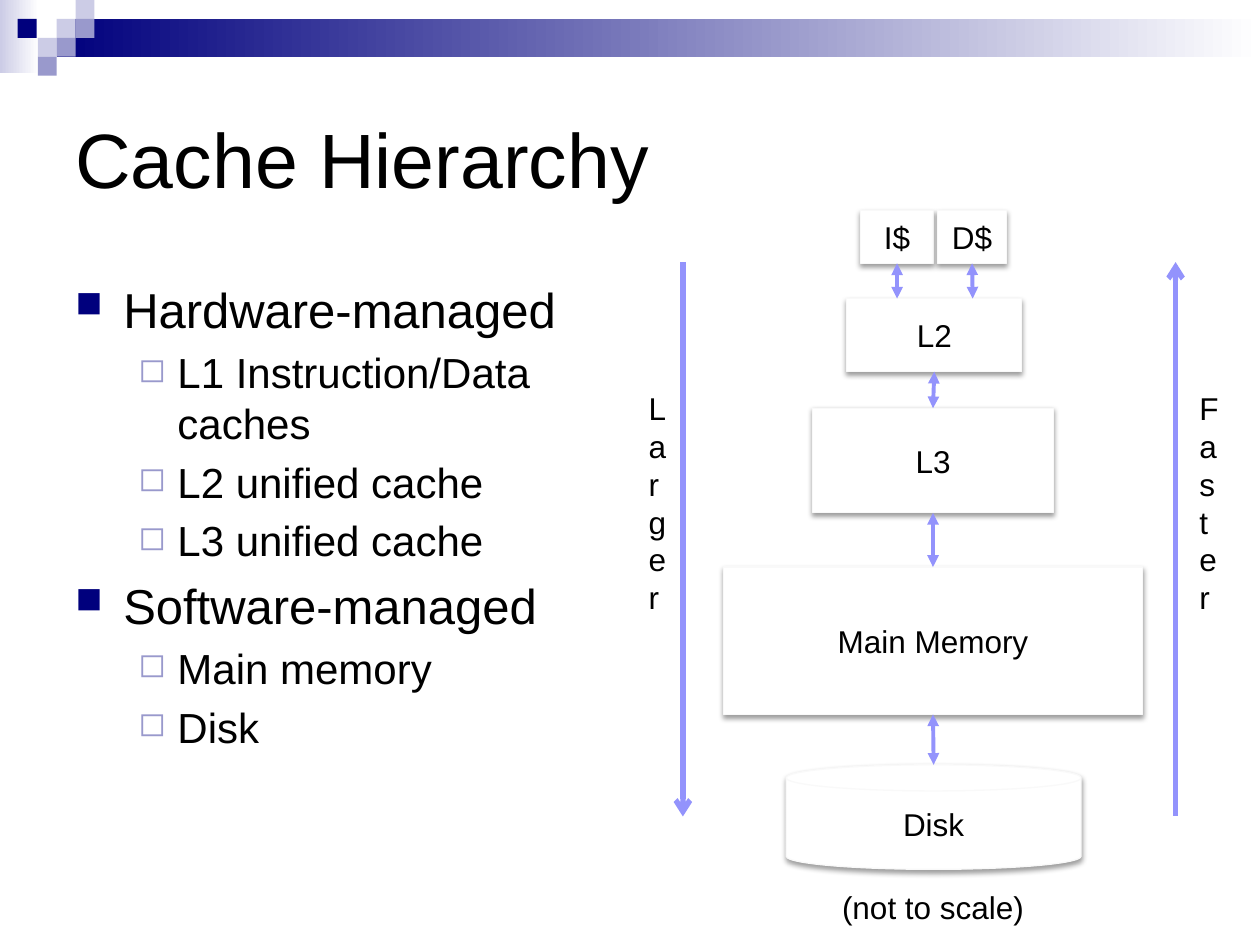
from pptx import Presentation
from pptx.dml.color import RGBColor
from pptx.enum.shapes import MSO_CONNECTOR, MSO_SHAPE
from pptx.enum.text import MSO_ANCHOR, PP_ALIGN
from pptx.oxml.ns import qn
from pptx.util import Inches, Pt
from lxml import etree

RECTANGLE, CAN = MSO_SHAPE.RECTANGLE, MSO_SHAPE.CAN
STRAIGHT = MSO_CONNECTOR.STRAIGHT
TOP, MIDDLE = MSO_ANCHOR.TOP, MSO_ANCHOR.MIDDLE
LEFT, CENTER = PP_ALIGN.LEFT, PP_ALIGN.CENTER
TOP_SIDE, BOTTOM_SIDE = 0, 2

COLORS = {
    "navy": "00007D", "lavender": "CCCCE6", "violet": "9999CC",
    "arrow": "9393FC", "edge": "F9F9F9", "white": "FFFFFF", "black": "000000",
}
BULLETS = [
    ("■", "navy", 75, 0.38, 0.38, 28),
    ("◻", "violet", 80, 0.81, 0.31, 24),
]
OUTLINE = [
    (0, "Hardware-managed"),
    (1, "L1 Instruction/Data caches"),
    (1, "L2 unified cache"),
    (1, "L3 unified cache"),
    (0, "Software-managed"),
    (1, "Main memory"),
    (1, "Disk"),
]
TILES = [
    (0.45, 0.15, "lavender"), (0.6, 0, "lavender"), (0.6, 0.15, "violet"),
    (0.3, 0.3, "lavender"), (0.14, 0.15, "navy"), (0.45, 0.3, "violet"),
    (0.3, 0.45, "violet"),
]
LEVELS = [
    ("I$", 6.83, 1.67, 0.58, 0.42, RECTANGLE),
    ("D$", 7.44, 1.67, 0.55, 0.42, RECTANGLE),
    ("L2", 6.72, 2.37, 1.39, 0.58, RECTANGLE),
    ("L3", 6.45, 3.24, 1.91, 0.83, RECTANGLE),
    ("Main Memory", 5.74, 4.5, 3.33, 1.17, RECTANGLE),
    ("Disk", 6.24, 6.07, 2.34, 0.83, CAN),
]


def add_element(parent, tag, **attributes):
    return etree.SubElement(parent, qn(tag), attributes)


class SlideBuilder:
    font_name = "Arial"

    def __init__(self, slide):
        self.slide = slide

    def color(self, name):
        return RGBColor.from_string(COLORS[name])

    def style(self, para, size, align=LEFT):
        para.alignment = align
        for span in para.runs:
            span.font.name = self.font_name
            span.font.size = Pt(size)
            span.font.color.rgb = self.color("black")

    def shape(self, left, top, width, height, fill, kind=RECTANGLE):
        box = self.slide.shapes.add_shape(
            kind, Inches(left), Inches(top), Inches(width), Inches(height))
        box.shadow.inherit = False
        box.line.fill.background()
        box.fill.solid()
        box.fill.fore_color.rgb = self.color(fill)
        return box

    def gradient(self, left, top, width, height, start):
        box = self.shape(left, top, width, height, start)
        box.fill.gradient()
        box.fill.gradient_angle = 0
        for stop, name, position in zip(box.fill.gradient_stops, (start, "white"), (0, 1)):
            stop.color.rgb = self.color(name)
            stop.position = position

    def level(self, label, left, top, width, height, kind):
        box = self.shape(left, top, width, height, "white", kind)
        box.line.color.rgb = self.color("edge")
        box.line.width = Pt(0.75)
        effects = box._element.spPr.find(qn("a:effectLst"))
        shadow = add_element(effects, "a:outerShdw", blurRad=str(Pt(3.1)),
                             dist=str(Pt(1.6)), dir="5400000", rotWithShape="0")
        shade = add_element(shadow, "a:srgbClr", val=COLORS["black"])
        add_element(shade, "a:alpha", val="38000")
        frame = box.text_frame
        frame.text = label
        frame.vertical_anchor = MIDDLE
        self.style(frame.paragraphs[0], 18, CENTER)
        return box

    def text(self, label, left, top, width, height, size=18, align=LEFT, anchor=TOP):
        box = self.slide.shapes.add_textbox(
            Inches(left), Inches(top), Inches(width), Inches(height))
        frame = box.text_frame
        frame.word_wrap = True
        frame.vertical_anchor = anchor
        frame.text = label
        self.style(frame.paragraphs[0], size, align)
        return frame

    def outline(self, items, left, top, width, height):
        frame = self.text("", left, top, width, height)
        for index, (level, label) in enumerate(items):
            para = frame.add_paragraph() if index else frame.paragraphs[0]
            para.text = label
            para.level = level
            mark, color, percent, margin, hanging, size = BULLETS[level]
            props = para._p.get_or_add_pPr()
            props.set("marL", str(Inches(margin)))
            props.set("indent", str(-Inches(hanging)))
            bullet_color = add_element(props, "a:buClr")
            add_element(bullet_color, "a:srgbClr", val=COLORS[color])
            add_element(props, "a:buSzPct", val=str(percent * 1000))
            add_element(props, "a:buChar", char=mark)
            if index:
                para.space_before = Pt(size * 0.2)
            self.style(para, size)

    def arrow(self, x, top, bottom, width=2.25, head="triangle", tail="triangle"):
        line = self.slide.shapes.add_connector(
            STRAIGHT, Inches(x), Inches(top), Inches(x), Inches(bottom))
        line.line.color.rgb = self.color("arrow")
        line.line.width = Pt(width)
        stroke = line.line._get_or_add_ln()
        for tag, end in (("a:headEnd", head), ("a:tailEnd", tail)):
            add_element(stroke, tag, type=end)
        add_element(line._element.spPr, "a:effectLst")
        return line


def main():
    deck = Presentation()
    deck.slide_width, deck.slide_height = Inches(10), Inches(7.5)
    page = SlideBuilder(deck.slides.add_slide(deck.slide_layouts[6]))

    page.gradient(0, 0, 0.31, 0.58, "lavender")
    page.gradient(0.45, 0.15, 9.55, 0.3, "navy")
    for left, top, fill in TILES:
        page.shape(left, top, 0.15, 0.15, fill)

    page.text("Cache Hierarchy", 0.5, 0.5, 9, 1.5, 44, anchor=MIDDLE)
    page.outline(OUTLINE, 0.5, 2.17, 4.42, 4.25)

    boxes = {level[0]: page.level(*level) for level in LEVELS}
    for label, x in (("I$", 7.12), ("D$", 7.72)):
        page.arrow(x, 2.09, 2.37).begin_connect(boxes[label], BOTTOM_SIDE)
    for upper, lower, top, bottom in (
            ("L2", "L3", 2.95, 3.24), ("L3", "Main Memory", 4.07, 4.5)):
        link = page.arrow(7.41, top, bottom)
        link.begin_connect(boxes[upper], BOTTOM_SIDE)
        link.end_connect(boxes[lower], TOP_SIDE)
    page.arrow(7.41, 5.67, 6.07).begin_connect(boxes["Main Memory"], BOTTOM_SIDE)

    page.text("(not to scale)", 6.45, 7, 1.91, 0.4, align=CENTER)
    page.arrow(5.42, 2.08, 6.48, 3, head="none", tail="arrow")
    page.arrow(9.33, 2.08, 6.48, 3, head="arrow", tail="none")
    for label, left in (("Larger", 5.05), ("Faster", 9.42)):
        page.text(label, left, 3.04, 0.25, 1.92)

    deck.save("out.pptx")


if __name__ == "__main__":
    main()
